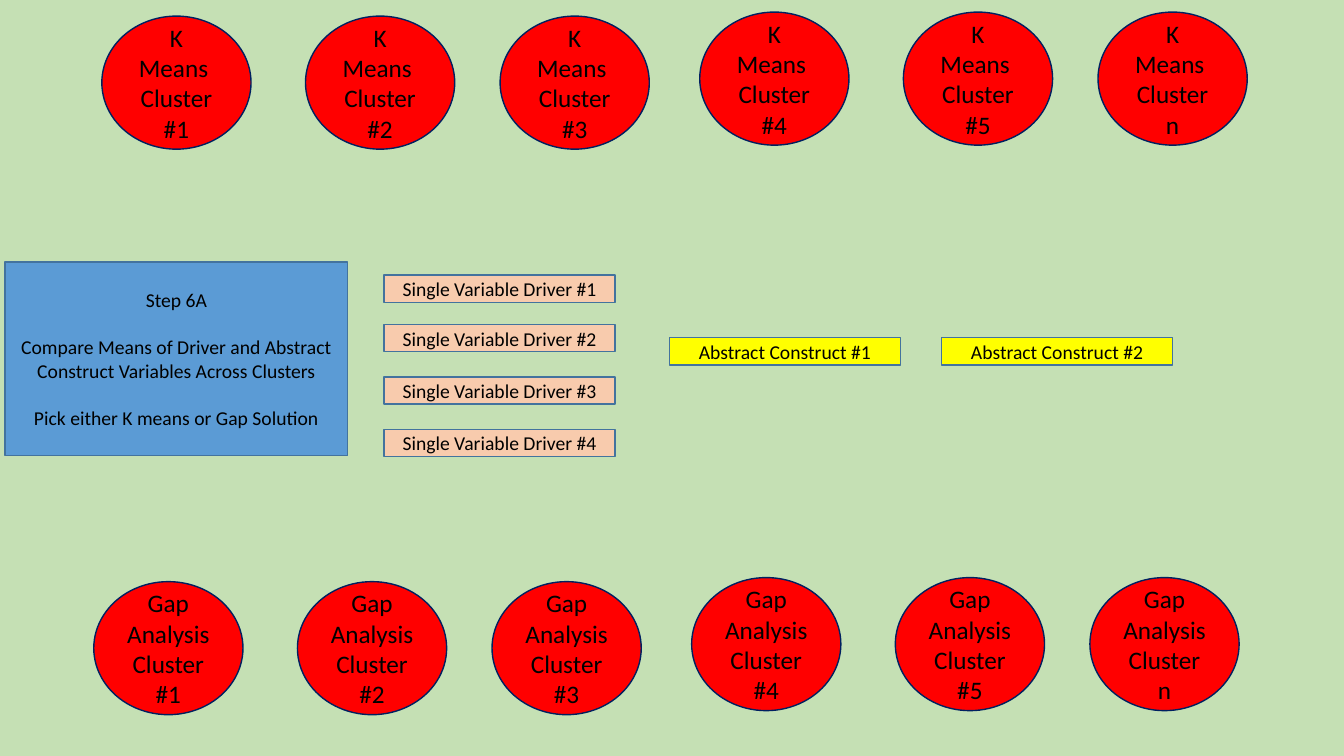
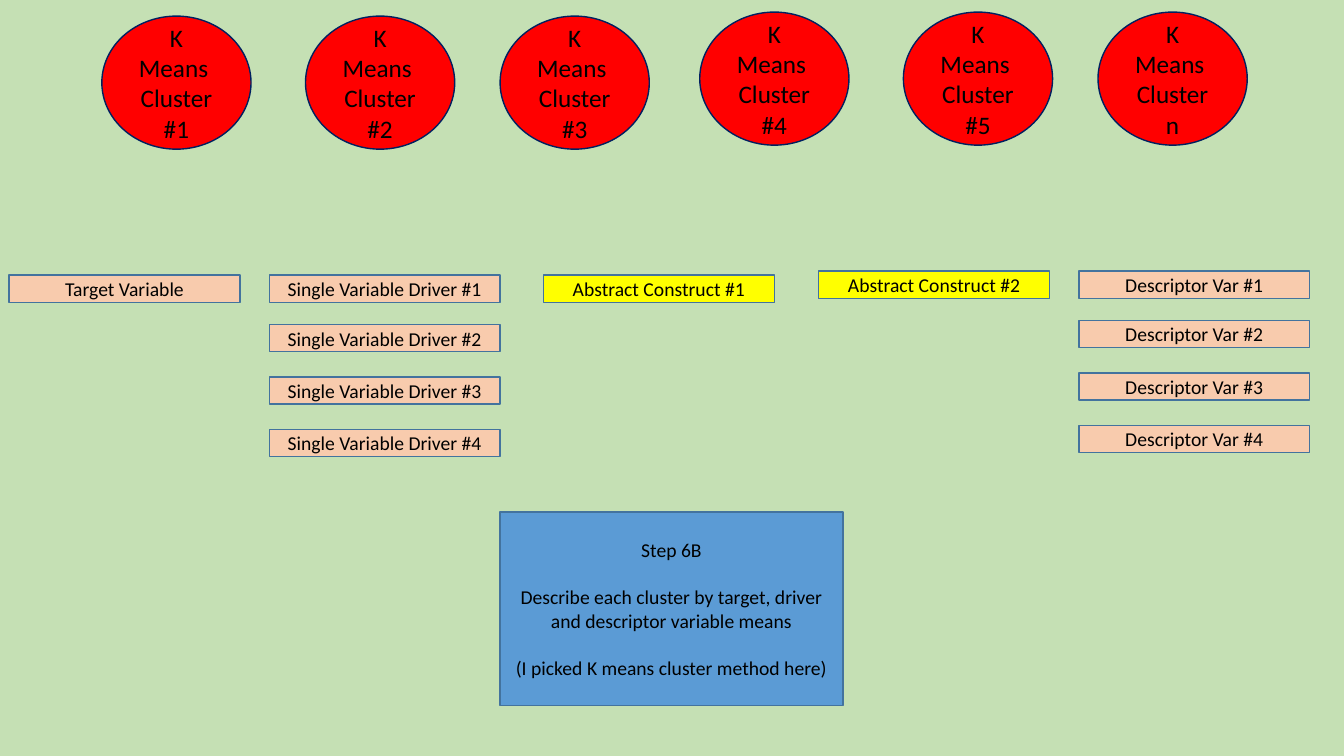
from pptx import Presentation
from pptx.dml.color import RGBColor
from pptx.enum.shapes import MSO_SHAPE as Preset
from pptx.enum.text import MSO_ANCHOR as Anchor, PP_ALIGN as Align
from pptx.util import Inches, Pt

COLORS = {
    "background": "C5E0B4",
    "step": "5B9BD5",
    "variable": "F8CBAD",
    "construct": "FFFF00",
    "cluster": "FF0000",
    "box_line": "43739E",
    "cluster_line": "002060",
    "text": "000000",
}
FONT = "Calibri"
STEP_SIZE = (3.4, 1.92)
LABEL_SIZE = (2.29, 0.27)
CLUSTER_SIZE = (1.48, 1.32)

# Six clusters form two trios, the second one slightly higher.
TRIO_COLUMNS = (0, 2.02, 3.95)
TRIO_STEP = (5.93, -0.04)
CLUSTER_ENDINGS = ("#1", "#2", "#3", "#4", "#5", "n")
LABEL_ROWS = (0, 0.49, 1.01, 1.53)
LABEL_TOP = 2.73
RAISED_TOP = 2.69

DRIVERS = [f"Single Variable Driver #{n}" for n in range(1, 5)]
DESCRIPTORS = [f"Descriptor Var #{n}" for n in range(1, 5)]


def add_box(shapes, role, left, top, size, paragraphs, gap=0):
    """Add a filled box whose look follows its role; gap is in points."""
    is_cluster = role == "cluster"
    box = shapes.add_shape(
        Preset.OVAL if is_cluster else Preset.RECTANGLE,
        *(Inches(length) for length in (left, top, *size)),
    )
    box.shadow.inherit = False
    box.fill.solid()
    box.fill.fore_color.rgb = RGBColor.from_string(COLORS[role])
    line_color = COLORS["cluster_line" if is_cluster else "box_line"]
    box.line.color.rgb = RGBColor.from_string(line_color)
    box.line.width = Pt(1)
    frame = box.text_frame
    frame.word_wrap = True
    frame.vertical_anchor = Anchor.MIDDLE
    for index, text in enumerate(paragraphs):
        paragraph = frame.paragraphs[0] if index == 0 else frame.add_paragraph()
        paragraph.alignment = Align.CENTER
        if index:
            paragraph.space_before = Pt(gap)
        run = paragraph.add_run()
        run.text = text
        run.font.name = FONT
        run.font.size = Pt(18 if is_cluster else 14)
        run.font.color.rgb = RGBColor.from_string(COLORS["text"])


prs = Presentation()
prs.slide_width, prs.slide_height = Inches(13.33), Inches(7.5)
master_fill = prs.slide_master.background.fill
master_fill.solid()
master_fill.fore_color.rgb = RGBColor.from_string(COLORS["background"])

K_MEANS = ("K Means ", 1.01, 0.16)
GAP_ANALYSIS = ("Gap Analysis ", 0.93, 5.77)

slide_plans = [
    {
        "step": (0.05, 2.6, [
            "Step 6A",
            "Compare Means of Driver and Abstract Construct Variables Across Clusters",
            "Pick either K means or Gap Solution",
        ]),
        "drivers_left": 3.81,
        "columns": [
            ("construct", 6.64, 3.35, ["Abstract Construct #1"]),
            ("construct", 9.34, 3.35, ["Abstract Construct #2"]),
        ],
        "cluster_rows": [GAP_ANALYSIS, K_MEANS],
    },
    {
        "step": (4.96, 5.08, [
            "Step 6B",
            "Describe each cluster by target, driver and descriptor variable means",
            "(I picked K means cluster method here)",
        ]),
        "drivers_left": 2.67,
        "columns": [
            ("construct", 5.39, LABEL_TOP, ["Abstract Construct #1"]),
            ("construct", 8.12, RAISED_TOP, ["Abstract Construct #2"]),
            ("variable", 0.09, LABEL_TOP, ["Target Variable"]),
            ("variable", 10.7, RAISED_TOP, DESCRIPTORS),
        ],
        "cluster_rows": [K_MEANS],
    },
]

for plan in slide_plans:
    shapes = prs.slides.add_slide(prs.slide_layouts[6]).shapes

    step_left, step_top, step_text = plan["step"]
    add_box(shapes, "step", step_left, step_top, STEP_SIZE, step_text, gap=17)

    driver_group = shapes.add_group_shape().shapes
    for row, driver in zip(LABEL_ROWS, DRIVERS):
        add_box(driver_group, "variable", plan["drivers_left"],
                LABEL_TOP + row, LABEL_SIZE, [driver])

    for role, left, top, labels in plan["columns"]:
        for row, label in zip(LABEL_ROWS, labels):
            add_box(shapes, role, left, top + row, LABEL_SIZE, [label])

    for method, left, top in plan["cluster_rows"]:
        for index, ending in enumerate(CLUSTER_ENDINGS):
            trio, column = divmod(index, len(TRIO_COLUMNS))
            add_box(shapes, "cluster",
                    left + TRIO_COLUMNS[column] + trio * TRIO_STEP[0],
                    top + trio * TRIO_STEP[1],
                    CLUSTER_SIZE, [method, f"Cluster {ending}"])

prs.save("out.pptx")
